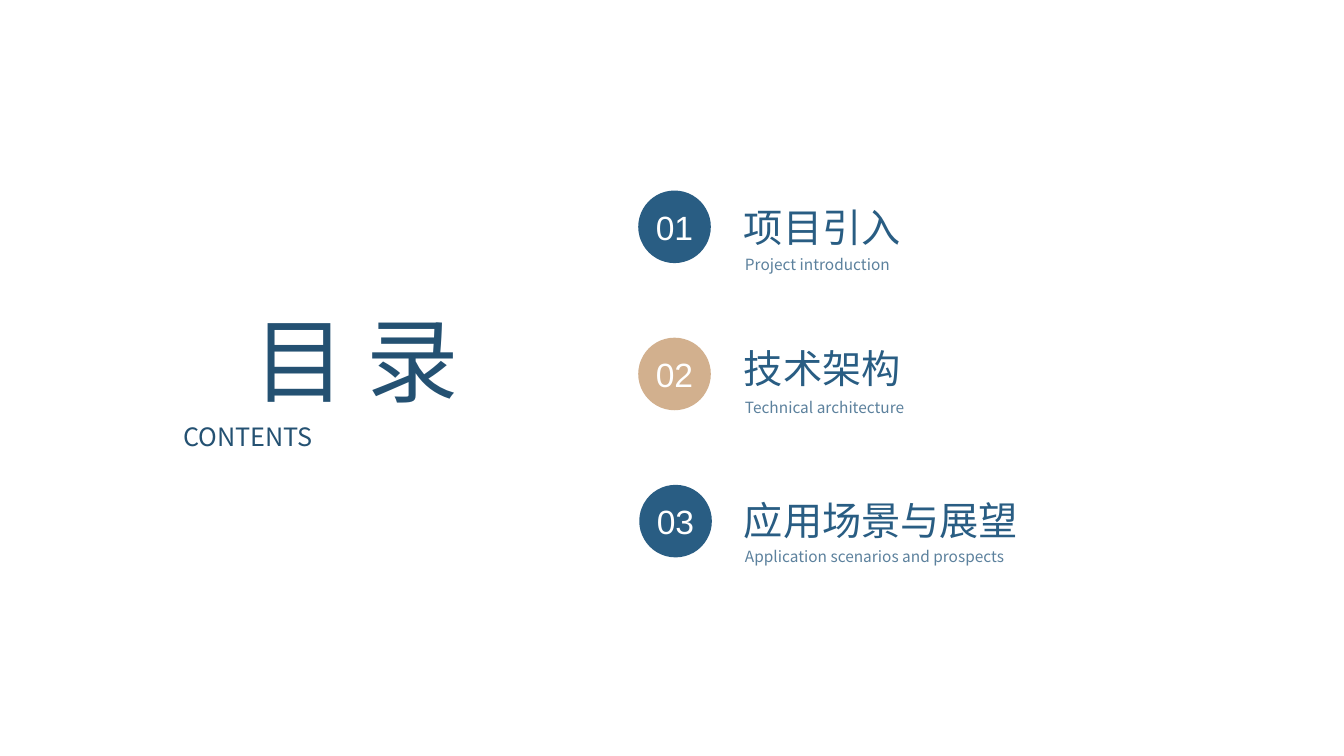
from lxml.etree import SubElement
from pptx import Presentation
from pptx.dml.color import RGBColor
from pptx.enum.shapes import MSO_SHAPE
from pptx.enum.text import MSO_ANCHOR, MSO_AUTO_SIZE, PP_ALIGN
from pptx.oxml.ns import qn
from pptx.util import Inches, Pt

COLORS = {
    "navy": "245172",
    "blue": "295D83",
    "tan": "D2B08E",
    "soft": "5C819D",
    "white": "FFFFFF",
}
HAN, LATIN, DIGIT = "Noto Sans CJK SC", "Noto Sans CJK JP", "Arial"

# Grid: 133.3 columns by 75 rows
WIDTH, HEIGHT = Inches(13.33), Inches(7.5)
COL, ROW = WIDTH / 133.3, HEIGHT / 75

# Number, heading, subheading, disc fill, disc column, heading row, subheading row
ITEMS = [
    ("01", "项目引入", "Project introduction", "blue", 63.3, 19.7, 24.4),
    ("02", "技术架构", "Technical architecture", "tan", 63.3, 33.7, 38.6),
    ("03", "应用场景与展望", "Application scenarios and prospects", "blue", 63.4, 48.7, 53.4),
]
DISC, TOP, STEP = 7.2, 18.9, 14.6


def color(name):
    return RGBColor.from_string(COLORS[name])


def grid(left, top, width, height):
    return [round(n) for n in (left * COL, top * ROW, width * COL, height * ROW)]


def write(shape, text, size, face, tint, align=PP_ALIGN.LEFT, lines=1.0):
    """Put one styled run into a shape."""
    frame = shape.text_frame
    frame.word_wrap = True
    frame.auto_size = MSO_AUTO_SIZE.NONE
    para = frame.paragraphs[0]
    para.alignment = align
    para.line_spacing = lines
    para.space_before = Pt(0)
    run = para.add_run()
    run.text = text
    font = run.font
    font.size, font.name = Pt(size), face
    font.color.rgb = color(tint)
    SubElement(run._r.get_or_add_rPr(), qn("a:ea"), typeface=face)


def label(slide, box, *style, **more):
    shape = slide.shapes.add_textbox(*grid(*box))
    write(shape, *style, **more)


def holder(shape, box, *style):
    """Move a placeholder and fill it."""
    shape.left, shape.top, shape.width, shape.height = grid(*box)
    shape.text_frame.vertical_anchor = MSO_ANCHOR.TOP
    write(shape, *style)


def disc(slide, left, top, fill, text):
    shape = slide.shapes.add_shape(MSO_SHAPE.OVAL, *grid(left, top, DISC, DISC))
    shape.shadow.inherit = False
    shape.fill.solid()
    shape.fill.fore_color.rgb = color(fill)
    shape.line.fill.background()
    frame = shape.text_frame
    frame.margin_left = frame.margin_right = 0
    frame.margin_top = frame.margin_bottom = 0
    frame.vertical_anchor = MSO_ANCHOR.MIDDLE
    write(shape, text, 24, DIGIT, "white", PP_ALIGN.CENTER)


def main():
    deck = Presentation()
    deck.slide_width, deck.slide_height = WIDTH, HEIGHT
    slide = deck.slides.add_slide(deck.slide_layouts[0])

    # Title block
    title, sub = slide.placeholders
    holder(title, (15.8, 29.6, 39, 12.1), "目 录", 66, HAN, "navy", PP_ALIGN.CENTER)
    holder(sub, (17.2, 41.3, 36.3, 4), "CONTENTS", 18, HAN, "navy", PP_ALIGN.JUSTIFY)

    # Numbered entries
    for i, (num, head, note, fill, left, high, low) in enumerate(ITEMS):
        disc(slide, left, TOP + i * STEP, fill, num)
        label(slide, (72.8, high, 37.6, 5.7), head, 28, HAN, "blue")
        label(slide, (72.9, low, 50.1, 3.1), note, 11, LATIN, "soft", lines=1.2)

    deck.save("out.pptx")


if __name__ == "__main__":
    main()
